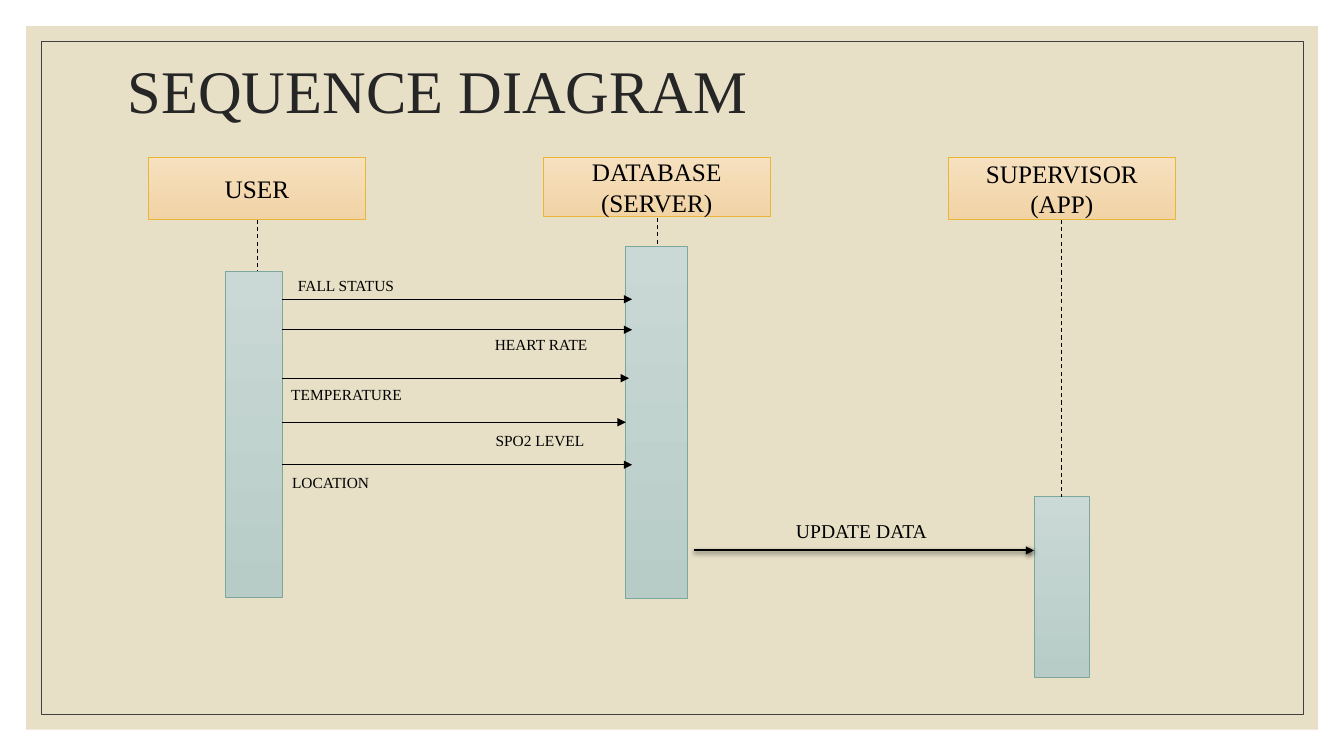
import pptx
import pptx.dml.color
import pptx.enum.dml
import pptx.enum.shapes
import pptx.enum.text
import pptx.oxml
import pptx.oxml.ns
import pptx.util
from dataclasses import dataclass

Cm = pptx.util.Cm
Pt = pptx.util.Pt
ALIGN = pptx.enum.text.PP_ALIGN
ANCHOR = pptx.enum.text.MSO_ANCHOR


@dataclass(frozen=True)
class Theme:
    font: str = "Times New Roman"
    panel: str = "E7E0C7"
    frame: str = "404040"
    title: str = "262626"
    ink: str = "000000"
    participant: tuple = ("F6E0BF", "F1D3A5", "E9B635")
    activation: tuple = ("CAD9D5", "B8CCC7", "7BA79D")
    title_size: float = 43.2
    participant_size: float = 18
    update_size: float = 14
    message_size: float = 11


def rgb(code):
    return pptx.dml.color.RGBColor.from_string(code)


def write(frame, text, *, font, size, color, align=ALIGN.LEFT, anchor=ANCHOR.TOP, spacing=1.0):
    frame.word_wrap = True
    frame.vertical_anchor = anchor
    frame.text = text
    for paragraph in frame.paragraphs:
        paragraph.alignment = align
        paragraph.line_spacing = spacing
        paragraph.font.name = font
        paragraph.font.size = Pt(size)
        paragraph.font.color.rgb = rgb(color)


class SequenceSlide:
    def __init__(self, slide, theme):
        self.shapes = slide.shapes
        self.theme = theme

    def rectangle(self, left, top, width, height, fill=None, line=None):
        box = self.shapes.add_shape(pptx.enum.shapes.MSO_SHAPE.RECTANGLE,
                                    Cm(left), Cm(top), Cm(width), Cm(height))
        box.shadow.inherit = False
        if fill:
            box.fill.solid()
            box.fill.fore_color.rgb = rgb(fill)
        else:
            box.fill.background()
        if line:
            box.line.color.rgb = rgb(line)
            box.line.width = Pt(0.5)
        else:
            box.line.fill.background()
        return box

    def gradient_box(self, left, top, width, height, colors):
        upper, lower, outline = colors
        box = self.rectangle(left, top, width, height, line=outline)
        box.fill.gradient()
        box.fill.gradient_angle = 270
        for stop, color in zip(box.fill.gradient_stops, (upper, lower)):
            stop.color.rgb = rgb(color)
        return box

    def participant(self, text, left, width, height):
        box = self.gradient_box(left, 3.96, width, height, self.theme.participant)
        write(box.text_frame, text, font=self.theme.font, size=self.theme.participant_size,
              color=self.theme.ink, align=ALIGN.CENTER, anchor=ANCHOR.MIDDLE)

    def activation(self, left, top, width, height):
        self.gradient_box(left, top, width, height, self.theme.activation)

    def label(self, text, left, top, width, height, size, color=None, **layout):
        box = self.shapes.add_textbox(Cm(left), Cm(top), Cm(width), Cm(height))
        write(box.text_frame, text, font=self.theme.font, size=size,
              color=color or self.theme.ink, **layout)

    def connector(self, start, end, width, shadow=""):
        link = self.shapes.add_connector(pptx.enum.shapes.MSO_CONNECTOR.STRAIGHT,
                                         *map(Cm, start + end))
        link.line.color.rgb = rgb(self.theme.ink)
        link.line.width = Pt(width)
        namespace = pptx.oxml.ns.nsdecls("a")
        link._element.spPr.append(
            pptx.oxml.parse_xml(f"<a:effectLst {namespace}>{shadow}</a:effectLst>"))
        return link

    def lifeline(self, x, top, bottom):
        link = self.connector((x, top), (x, bottom), 0.75)
        link.line.dash_style = pptx.enum.dml.MSO_LINE.DASH

    def arrow(self, start, end, y, width=1, shadow=""):
        link = self.connector((start, y), (end, y), width, shadow)
        namespace = pptx.oxml.ns.nsdecls("a")
        link.line._get_or_add_ln().append(
            pptx.oxml.parse_xml(f'<a:tailEnd {namespace} type="triangle"/>'))


def main():
    deck = pptx.Presentation()
    deck.slide_width = Cm(33.87)
    deck.slide_height = Cm(19.05)
    theme = Theme()
    diagram = SequenceSlide(deck.slides.add_slide(deck.slide_layouts[6]), theme)

    diagram.rectangle(0.66, 0.66, 32.56, 17.73, fill=theme.panel)
    diagram.rectangle(1.04, 1.04, 31.8, 16.97, line=theme.frame)
    diagram.label("SEQUENCE DIAGRAM", 2.97, 1.42, 27.94, 1.88, theme.title_size,
                  theme.title, anchor=ANCHOR.MIDDLE, spacing=0.9)

    participants = [
        ("USER", 3.73, 5.49, 1.57),
        ("DATABASE\n(SERVER)", 13.69, 5.72, 1.5),
        ("SUPERVISOR\n(APP)", 23.9, 5.72, 1.57),
    ]
    for participant in participants:
        diagram.participant(*participant)

    activations = [
        (5.69, 6.83, 1.42, 8.23),
        (15.77, 6.2, 1.55, 8.89),
        (26.06, 12.52, 1.4, 4.55),
    ]
    for activation in activations:
        diagram.activation(*activation)

    lifelines = [(6.48, 5.54, 6.83), (16.56, 5.49, 6.2), (26.75, 5.54, 12.52)]
    for lifeline in lifelines:
        diagram.lifeline(*lifeline)

    messages = [
        ("FALL STATUS", 7.54, 15.93, 7.26, 6.83, 5.18),
        ("HEART RATE", 8.31, 15.93, 12.22, 8.33, 4.34),
        ("TEMPERATURE", 9.53, 15.85, 7.09, 9.58, 3.71),
        ("SPO2 LEVEL", 10.64, 15.77, 12.24, 10.74, 3.07),
        ("LOCATION", 11.71, 15.93, 7.11, 11.81, 3.28),
    ]
    for text, y, arrow_end, left, top, width in messages:
        diagram.arrow(7.11, arrow_end, y)
        diagram.label(text, left, top, width, 0.74, theme.message_size)

    update_shadow = (
        '<a:outerShdw blurRad="38100" dist="12700" dir="5400000" rotWithShape="0">'
        f'<a:srgbClr val="{theme.ink}"><a:alpha val="63000"/></a:srgbClr></a:outerShdw>')
    diagram.arrow(17.48, 26.06, 13.87, 1.5, update_shadow)
    diagram.label("UPDATE DATA", 19.81, 12.95, 4.47, 0.86, theme.update_size)

    deck.save("out.pptx")


if __name__ == "__main__":
    main()
